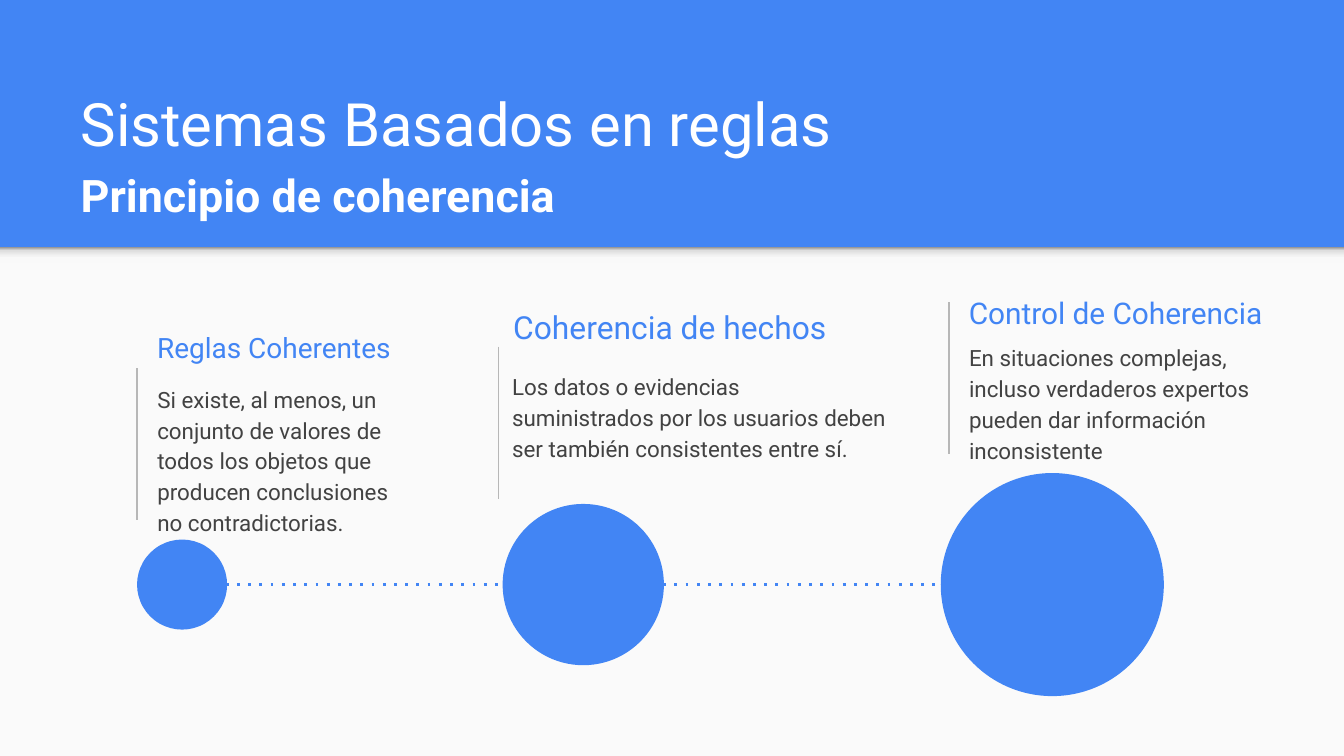
from lxml import etree
from pptx import Presentation
from pptx.dml.color import RGBColor
from pptx.enum.shapes import MSO_CONNECTOR, MSO_SHAPE
from pptx.enum.text import MSO_ANCHOR, MSO_AUTO_SIZE, PP_ALIGN
from pptx.oxml.ns import qn
from pptx.util import Inches, Pt

COLORS = {"blue": "4285F4", "paper": "FAFAFA", "white": "FFFFFF",
          "text": "424242", "rule": "B7B7B7"}
SHADOW_STOPS = [(0, "F9F9F9"), (36, "F9F9F9"), (80, "DEDEDE"), (100, "999999")]


def write_text(box, place, text, size, color, anchor, bold=False, spacing=1.0):
    box.left, box.top, box.width, box.height = [Inches(value) for value in place]
    frame = box.text_frame
    frame.word_wrap = True
    frame.auto_size = MSO_AUTO_SIZE.NONE
    frame.vertical_anchor = anchor
    frame.margin_left = frame.margin_right = Inches(0.1)
    frame.margin_top = frame.margin_bottom = Inches(0.1)
    para = frame.paragraphs[0]
    properties = para._p.get_or_add_pPr()
    properties.set("marL", "0")
    properties.set("indent", "0")
    etree.SubElement(properties, qn("a:buNone"))
    para.alignment = PP_ALIGN.LEFT
    para.line_spacing = spacing
    para.space_before = Pt(0)
    span = para.add_run()
    span.text = text
    span.font.name = "Roboto"
    span.font.size = Pt(size)
    span.font.bold = bold
    span.font.color.rgb = RGBColor.from_string(COLORS[color])


def draw_line(start, end, color, width):
    line = page.shapes.add_connector(
        MSO_CONNECTOR.STRAIGHT, *[Inches(value) for value in start + end])
    line.line.color.rgb = RGBColor.from_string(COLORS[color])
    line.line.width = Pt(width)
    etree.SubElement(line._element.spPr, qn("a:effectLst"))
    return line


# A 16:9 page
deck = Presentation()
deck.slide_width = Inches(10)
deck.slide_height = Inches(10) * 9 // 16
page = deck.slides.add_slide(deck.slide_layouts.get_by_name("Comparison"))
page.background.fill.solid()
page.background.fill.fore_color.rgb = RGBColor.from_string(COLORS["blue"])
title, subtitle, *bodies = page.placeholders

# Light lower panel with a soft shadow along its top edge
panel_top = Inches(1.84)
panel = page.shapes.add_shape(
    MSO_SHAPE.RECTANGLE, 0, panel_top, deck.slide_width, deck.slide_height - panel_top)
panel.fill.solid()
panel.fill.fore_color.rgb = RGBColor.from_string(COLORS["paper"])
edge = page.shapes.add_shape(
    MSO_SHAPE.RECTANGLE, 0, panel_top, deck.slide_width, Inches(0.12))
edge.fill.gradient()
edge.fill.gradient_angle = 90
stop_list = edge._element.spPr.find(qn("a:gradFill")).find(qn("a:gsLst"))
for stop in list(stop_list):
    stop_list.remove(stop)
for position, color in SHADOW_STOPS:
    stop = etree.SubElement(stop_list, qn("a:gs"), pos=str(position * 1000))
    etree.SubElement(stop, qn("a:srgbClr"), val=color)
for index, shape in enumerate((panel, edge)):
    shape.shadow.inherit = False
    shape.line.fill.background()
    page.shapes._spTree.insert(2 + index, shape._element)  # behind the text

# Title and subtitle
write_text(title, (0.5, 0.44, 8.99, 0.84), "Sistemas Basados en reglas",
           32, "white", MSO_ANCHOR.BOTTOM)
write_text(subtitle, (0.5, 0.91, 8.99, 0.84), "Principio de coherencia",
           24, "white", MSO_ANCHOR.BOTTOM, bold=True)

# Three principles: rule position, heading place and size, body place
principles = [
    ((1.02, 2.74), "Reglas Coherentes", (1.07, 2.37, 1.98, 0.43), 15,
     "Si existe, al menos, un conjunto de valores de todos los objetos que "
     "producen conclusiones no contradictorias.", (1.07, 2.74, 1.98, 0.63)),
    ((3.71, 2.58), "Coherencia de hechos", (3.72, 2.22, 2.56, 0.43), 17,
     "Los datos o evidencias suministrados por los usuarios deben ser también "
     "consistentes entre sí.", (3.71, 2.65, 2.99, 0.63)),
    ((7.06, 2.25), "Control de Coherencia", (7.11, 2.11, 2.49, 0.43), 16,
     "En situaciones complejas, incluso verdaderos expertos pueden dar "
     "información inconsistente", (7.11, 2.43, 2.3, 0.63)),
]
for body, principle in zip(bodies, principles):
    (x, y), heading, heading_place, size, text, body_place = principle
    draw_line((x, y), (x, y + 1.13), "rule", 0.75)
    heading_box = page.shapes.add_textbox(0, 0, 0, 0)
    write_text(heading_box, heading_place, heading, size, "blue", MSO_ANCHOR.MIDDLE)
    write_text(body, body_place, text, 12, "text", MSO_ANCHOR.TOP, spacing=1.15)
    body.text_frame.paragraphs[0].space_after = Pt(16)

# Growing circles centred on a dotted line
axis = 4.35
dotted = draw_line((1.68, axis), (7, axis), "blue", 1.5)
etree.SubElement(dotted._element.spPr.find(qn("a:ln")), qn("a:prstDash"), val="dot")
for left, diameter in [(1.02, 0.67), (3.74, 1.2), (7, 1.66)]:
    circle = page.shapes.add_shape(
        MSO_SHAPE.OVAL, Inches(left), Inches(axis - diameter / 2),
        Inches(diameter), Inches(diameter))
    circle.shadow.inherit = False
    circle.fill.solid()
    circle.fill.fore_color.rgb = RGBColor.from_string(COLORS["blue"])
    circle.line.fill.background()

deck.save("out.pptx")
